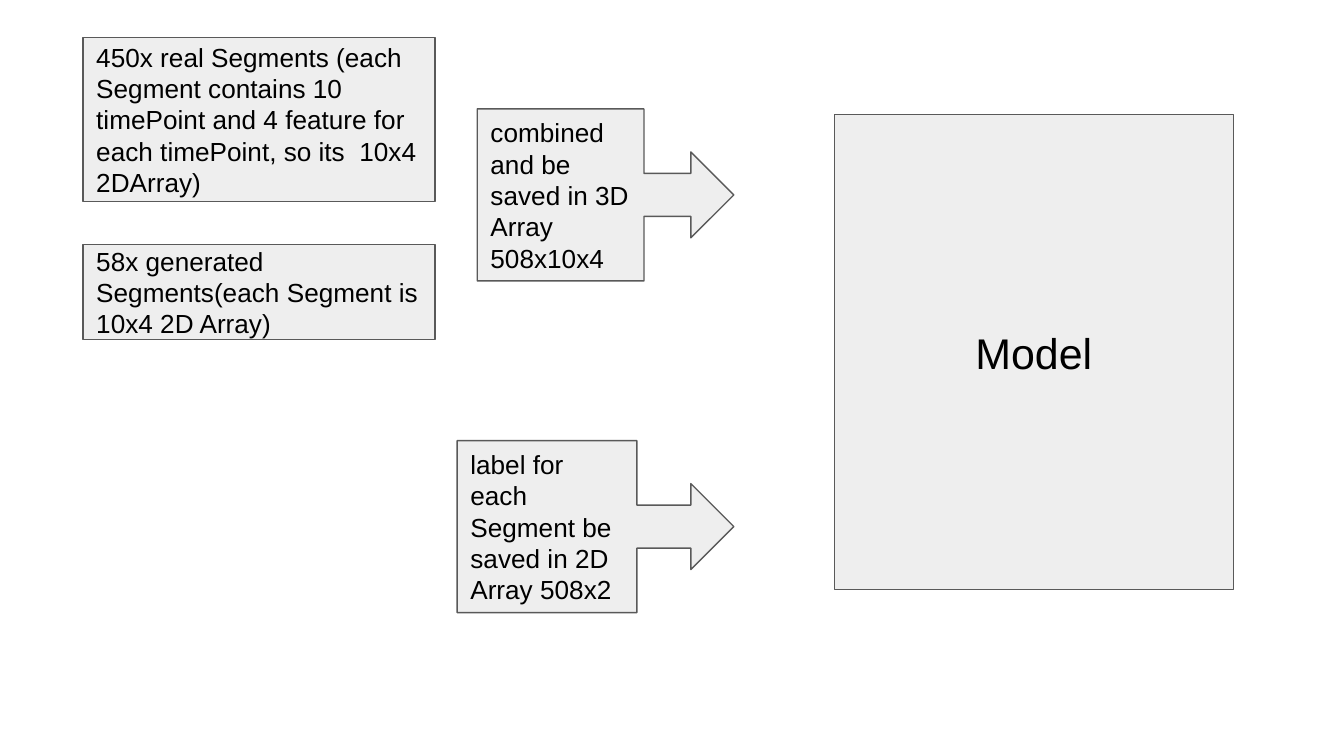
"""Build a slide showing how real and generated segments feed the model."""
from pptx import Presentation
from pptx.dml.color import RGBColor
from pptx.enum.shapes import MSO_SHAPE as SHAPE
from pptx.enum.text import MSO_ANCHOR as ANCHOR, PP_ALIGN as ALIGN
from pptx.util import Cm, Pt

INPUT_LEFT, INPUT_WIDTH = 1.57, 6.65
CALLOUT_RIGHT, CALLOUT_HEIGHT = 13.87, 3.25


def color(value):
    """Turn a hex string into a colour."""
    return RGBColor.from_string(value)


def add_block(slide, kind, box, text, size=14, align=ALIGN.LEFT):
    """Add a grey outlined shape with text, its box given in centimetres."""
    sp = slide.shapes.add_shape(kind, *(Cm(v) for v in box))
    sp.shadow.inherit = False
    sp.fill.solid()
    sp.fill.fore_color.rgb = color("EEEEEE")
    sp.line.color.rgb = color("595959")
    sp.line.width = Pt(0.75)
    tf = sp.text_frame
    tf.word_wrap = True
    tf.vertical_anchor = ANCHOR.MIDDLE
    tf.margin_left = tf.margin_right = tf.margin_top = tf.margin_bottom = Cm(0.25)
    tf.text = text
    p = tf.paragraphs[0]
    p.alignment = align
    font = p.runs[0].font
    font.name = "Arial"
    font.size = Pt(size)
    font.color.rgb = color("000000")


def add_input(slide, top, height, text):
    """Add a source data box in the left column."""
    add_block(slide, SHAPE.RECTANGLE, (INPUT_LEFT, top, INPUT_WIDTH, height), text)


def add_callout(slide, left, top, text):
    """Add an arrow callout whose tip ends at the shared right edge."""
    box = (left, top, CALLOUT_RIGHT - left, CALLOUT_HEIGHT)
    add_block(slide, SHAPE.RIGHT_ARROW_CALLOUT, box, text)


def main():
    """Create and save the slide."""
    prs = Presentation()
    prs.slide_width, prs.slide_height = Cm(25.4), Cm(14.29)
    s = prs.slides.add_slide(prs.slide_layouts[6])
    add_input(s, 0.71, 3.1, "450x real Segments (each Segment contains 10 timePoint "
              "and 4 feature for each timePoint, so its  10x4 2DArray)")
    add_input(s, 4.62, 1.8, "58x generated Segments(each Segment is 10x4 2D Array)")
    add_callout(s, 9.02, 2.06, "combined and be saved in 3D Array 508x10x4")
    add_callout(s, 8.64, 8.33, "label for each Segment be saved in 2D Array 508x2")
    add_block(s, SHAPE.RECTANGLE, (15.77, 2.16, 7.54, 8.99), "Model", 23, ALIGN.CENTER)
    prs.save("out.pptx")


if __name__ == "__main__":
    main()
